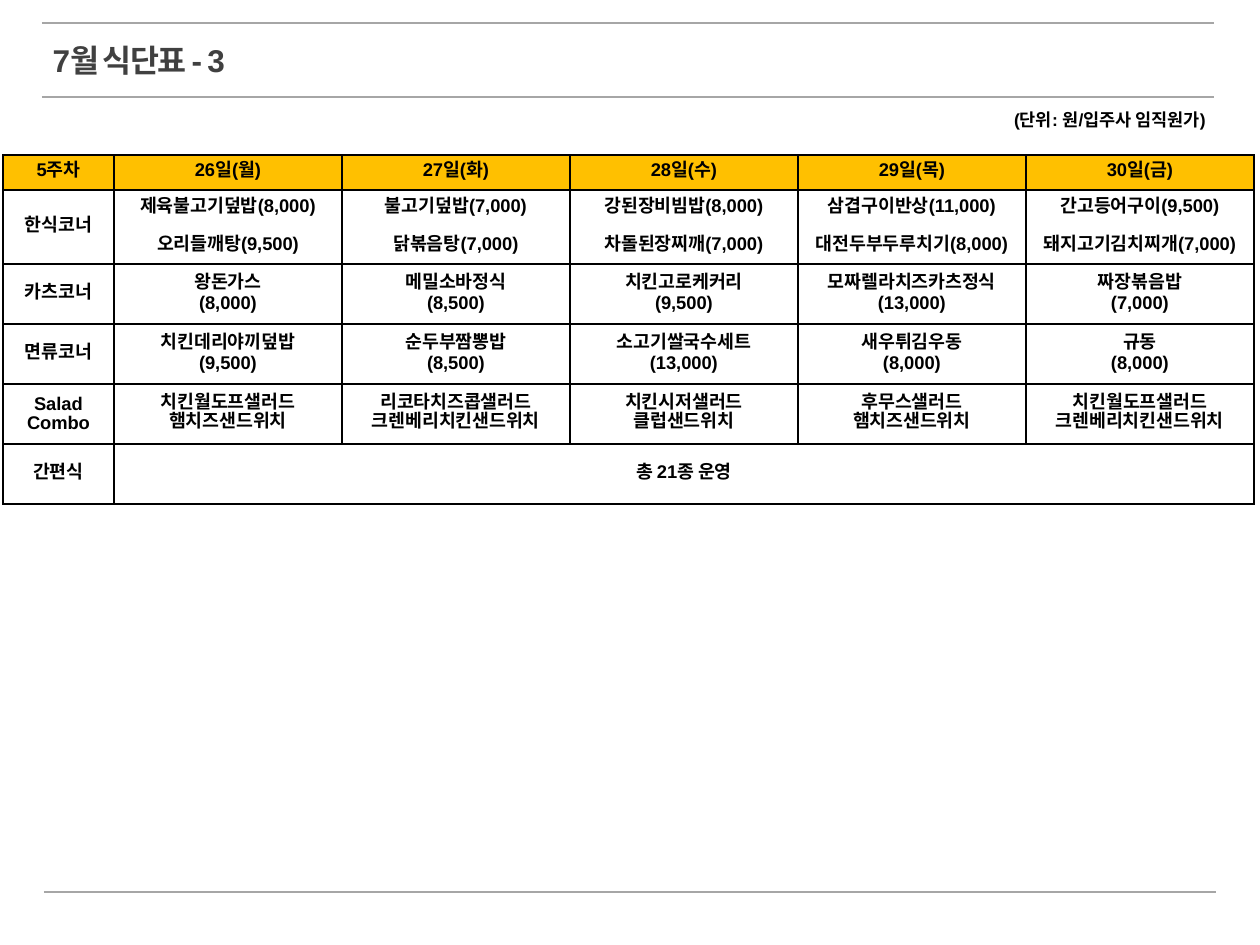
from lxml import etree
from pptx import Presentation
from pptx.dml.color import RGBColor
from pptx.enum.shapes import MSO_CONNECTOR
from pptx.enum.text import MSO_ANCHOR, MSO_AUTO_SIZE, PP_ALIGN
from pptx.oxml.ns import qn
from pptx.util import Emu, Pt

STRAIGHT = MSO_CONNECTOR.STRAIGHT
MIDDLE = MSO_ANCHOR.MIDDLE
GROW = MSO_AUTO_SIZE.SHAPE_TO_FIT_TEXT
LEFT, CENTER, RIGHT = PP_ALIGN.LEFT, PP_ALIGN.CENTER, PP_ALIGN.RIGHT
PX = 914400 / 126
TITLE_ONLY = 5


def color(value):
    return RGBColor.from_string(value)


def write(paragraph, text, size, ink, align):
    paragraph.alignment = align
    run = paragraph.add_run()
    run.text = text
    values = {"name": "Arial", "size": Pt(size), "bold": True}
    for name, value in values.items():
        setattr(run.font, name, value)
    run.font.color.rgb = color(ink)
    return run


presentation = Presentation()
presentation.slide_width = Emu(round(1260 * PX))
presentation.slide_height = Emu(round(945 * PX))
slide = presentation.slides.add_slide(presentation.slide_layouts[TITLE_ONLY])

# Horizontal rules around the heading and above the footer
for left, top in [(42, 23), (42, 97), (44, 892)]:
    x1, x2, y = [Emu(round(n * PX)) for n in (left, left + 1172, top)]
    rule = slide.shapes.add_connector(STRAIGHT, x1, y, x2, y)
    rule.line.color.rgb = color("A6A6A6")
    rule.line.width = Pt(1)
    etree.SubElement(rule._element.spPr, qn("a:effectLst"))

# Title and price unit
title = slide.shapes.title
unit = slide.shapes.add_textbox(0, 0, 0, 0)
headings = [
    (title, (40, 35, 660, 50), "7월 식단표 - 3", 18, "404040", LEFT),
    (unit, (882, 103, 336, 34), "(단위: 원/입주사 임직원가)", 10, "000000", RIGHT),
]
for shape, box, text, size, ink, align in headings:
    for name, length in zip(("left", "top", "width", "height"), box):
        setattr(shape, name, Emu(round(length * PX)))
    shape.text_frame.word_wrap = True
    shape.text_frame.auto_size = GROW
    run = write(shape.text_frame.paragraphs[0], text, size, ink, align)
    if shape is title:
        run._r.get_or_add_rPr().set("spc", "-100")

# Weekly menu, one row per corner
menu = [
    ["5주차", "26일(월)", "27일(화)", "28일(수)", "29일(목)", "30일(금)"],
    ["한식코너", "제육불고기덮밥(8,000)\n오리들깨탕(9,500)",
     "불고기덮밥(7,000)\n닭볶음탕(7,000)",
     "강된장비빔밥(8,000)\n차돌된장찌깨(7,000)",
     "삼겹구이반상(11,000)\n대전두부두루치기(8,000)",
     "간고등어구이(9,500)\n돼지고기김치찌개(7,000)"],
    ["카츠코너", "왕돈가스\n(8,000)", "메밀소바정식\n(8,500)",
     "치킨고로케커리\n(9,500)", "모짜렐라치즈카츠정식\n(13,000)",
     "짜장볶음밥\n(7,000)"],
    ["면류코너", "치킨데리야끼덮밥\n(9,500)", "순두부짬뽕밥\n(8,500)",
     "소고기쌀국수세트\n(13,000)", "새우튀김우동\n(8,000)", "규동\n(8,000)"],
    ["Salad\nCombo", "치킨월도프샐러드\n햄치즈샌드위치",
     "리코타치즈콥샐러드\n크렌베리치킨샌드위치", "치킨시저샐러드\n클럽샌드위치",
     "후무스샐러드\n햄치즈샌드위치", "치킨월도프샐러드\n크렌베리치킨샌드위치"],
    ["간편식", "총 21종 운영"],
]
column_widths = [111] + [228] * 5
row_heights = [35, 74] + [60] * 4
box = (3, 155, sum(column_widths), sum(row_heights))
frame = slide.shapes.add_table(
    len(row_heights), len(column_widths), *[Emu(round(n * PX)) for n in box])
table = frame.table
for column, width in zip(table.columns, column_widths):
    column.width = Emu(round(width * PX))
for row, height in zip(table.rows, row_heights):
    row.height = Emu(round(height * PX))
table.cell(5, 1).merge(table.cell(5, 5))

for r, row in enumerate(table.rows):
    for c, cell in enumerate(row.cells):
        # Black borders come before the fill in the cell properties
        properties = cell._tc.get_or_add_tcPr()
        for side in ("a:lnL", "a:lnR", "a:lnT", "a:lnB"):
            line = etree.SubElement(properties, qn(side), w=str(Pt(1)))
            solid = etree.SubElement(line, qn("a:solidFill"))
            etree.SubElement(solid, qn("a:srgbClr"), val="000000")
        cell.fill.solid()
        cell.fill.fore_color.rgb = color("FFC000" if r == 0 else "FFFFFF")
        cell.vertical_anchor = MIDDLE
        cell.margin_left = cell.margin_right = Emu(round(6 * PX))
        if c >= len(menu[r]):
            continue
        for index, text in enumerate(menu[r][c].split("\n")):
            text_frame = cell.text_frame
            paragraph = text_frame.add_paragraph() if index else text_frame.paragraphs[0]
            write(paragraph, text, 10.5, "000000", CENTER)
            paragraph.line_spacing = Pt(11)
            # The two dishes of the first corner stand one line apart
            if r == 1 and index:
                paragraph.space_before = Pt(11)

presentation.save("out.pptx")
